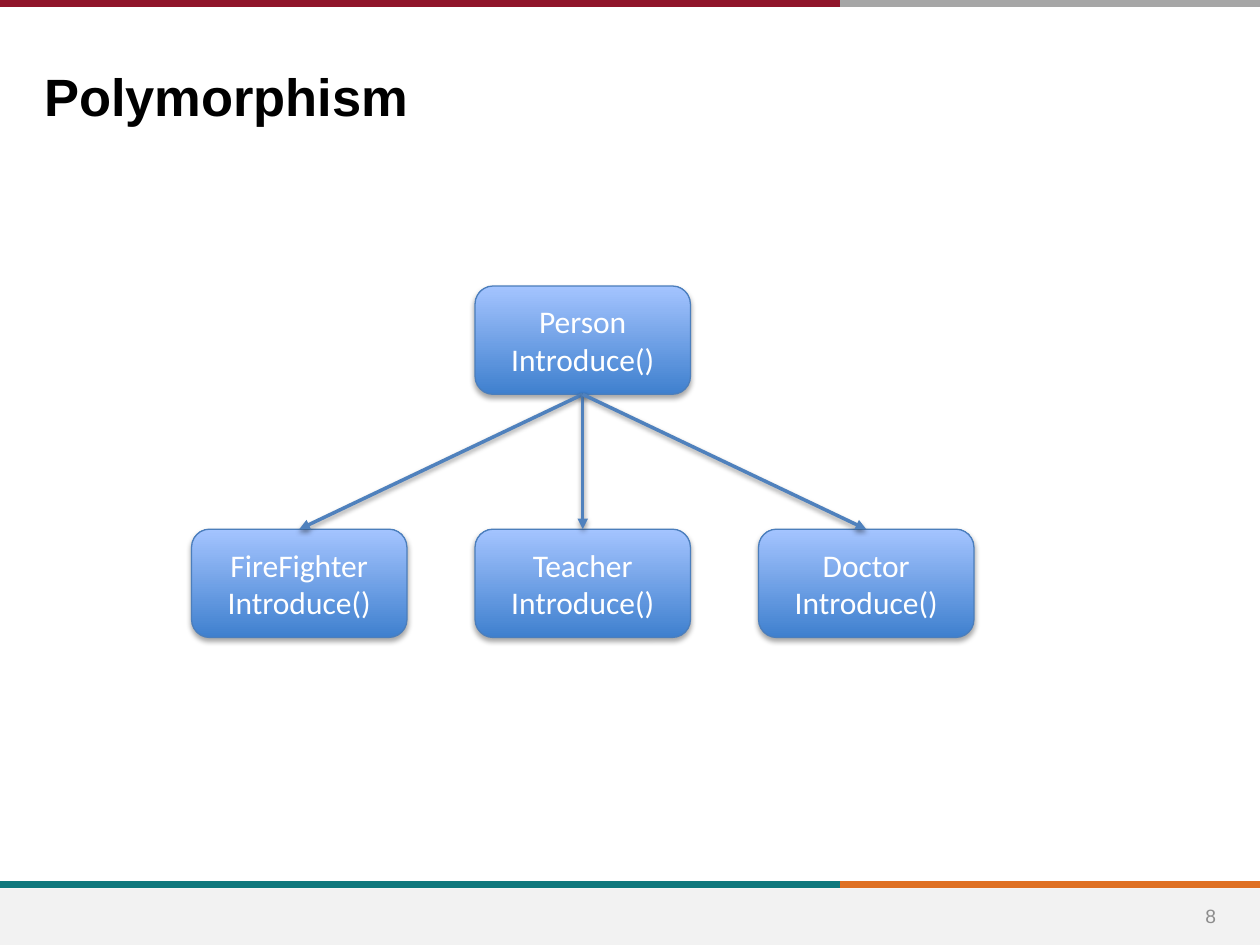
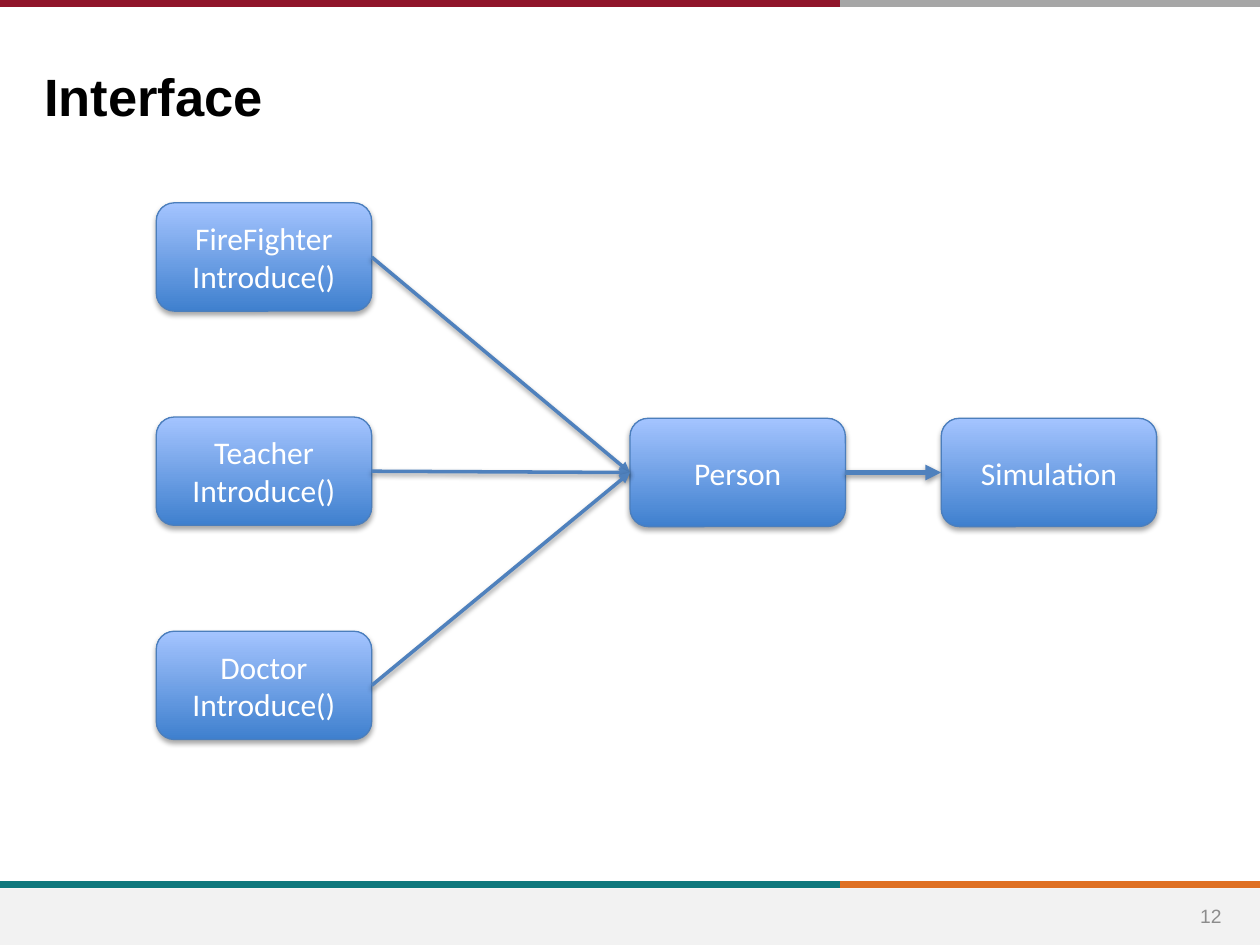
import pptx
import pptx.util
import pptx.dml.color
import pptx.enum.shapes
import pptx.enum.text
import pptx.oxml
import pptx.oxml.ns
import lxml.etree

COLORS = {
    "crimson": "90152A", "silver": "A6A6A6", "teal": "0F787D", "orange": "DF7023",
    "footer": "F2F2F2", "number": "8C8C8C", "title": "000000", "label": "FFFFFF",
    "box_bottom": "3F80CE", "box_top": "A4C4FF", "box_edge": "4B7EBC", "arrow": "4F81BD",
}
RGB = {name: pptx.dml.color.RGBColor.from_string(code) for name, code in COLORS.items()}
Inches, Pt = pptx.util.Inches, pptx.util.Pt
SHAPES = pptx.enum.shapes.MSO_SHAPE
STRAIGHT = pptx.enum.shapes.MSO_CONNECTOR.STRAIGHT
ALIGN = pptx.enum.text.PP_ALIGN
ANCHOR = pptx.enum.text.MSO_ANCHOR
qn = pptx.oxml.ns.qn
TOP, LEFT, BOTTOM, RIGHT = range(4)

WIDTH, HEIGHT = 10, 7.5
SPLIT = WIDTH * 2 / 3
BOX_WIDTH, BOX_HEIGHT = 1.71, 0.86


def write(shape, text, font="Calibri", size=18, color="label", bold=False,
          align=ALIGN.CENTER, anchor=ANCHOR.MIDDLE):
    """Fill a shape with text, one paragraph per line."""
    frame = shape.text_frame
    frame.text = text
    frame.word_wrap = True
    frame.vertical_anchor = anchor
    for para in frame.paragraphs:
        para.alignment = align
        for span in para.runs:
            span.font.name = font
            span.font.size = Pt(size)
            span.font.bold = bold
            span.font.color.rgb = RGB[color]


def set_shadow(shape, opacity=0, distance=1.8):
    """Give a shape a soft shadow below it, or none at zero opacity."""
    effects = lxml.etree.SubElement(shape.element.spPr, qn("a:effectLst"))
    if opacity:
        shadow = lxml.etree.SubElement(
            effects, qn("a:outerShdw"), blurRad=str(Pt(3.1)), dist=str(Pt(distance)),
            dir="5400000", rotWithShape="0")
        black = lxml.etree.SubElement(shadow, qn("a:srgbClr"), val="000000")
        lxml.etree.SubElement(black, qn("a:alpha"), val=str(opacity * 1000))


# Grids: professions side by side on the first slide, stacked on the second
columns = [1.52 + 2.25 * index for index in range(3)]
rows = [1.61 + 1.7 * index for index in range(3)]
professions = ["FireFighter", "Teacher", "Doctor"]

# Boxes: name -> (left, top, text); arrows: start, side, end, side, width
diagrams = [
    {
        "title": "Polymorphism", "number": "8",
        "boxes": {"Person": (columns[1], 2.27, "Person\nIntroduce()")}
        | {name: (left, 4.2, name + "\nIntroduce()")
           for name, left in zip(professions, columns)},
        "arrows": [("Person", BOTTOM, name, TOP, 2) for name in professions],
    },
    {
        "title": "Interface", "number": "12",
        "boxes": {"Person": (5, 3.32, "Person"), "Simulation": (7.47, 3.32, "Simulation")}
        | {name: (1.24, top, name + "\nIntroduce()")
           for name, top in zip(professions, rows)},
        "arrows": [(name, RIGHT, "Person", LEFT, 2) for name in professions]
        + [("Person", RIGHT, "Simulation", LEFT, 3)],
    },
]

bands = [
    (SPLIT, WIDTH, 7.02, "orange"), (0, SPLIT, 7.02, "teal"),
    (SPLIT, WIDTH, 0.03, "silver"), (0, SPLIT, 0.03, "crimson"),
]

deck = pptx.Presentation()
deck.slide_width, deck.slide_height = Inches(WIDTH), Inches(HEIGHT)

for diagram in diagrams:
    page = deck.slides.add_slide(deck.slide_layouts[5])

    # Bands and footer
    for start, end, height, color in bands:
        band = page.shapes.add_connector(
            STRAIGHT, Inches(start), Inches(height), Inches(end), Inches(height))
        band.line.color.rgb = RGB[color]
        band.line.width = Pt(4)
        set_shadow(band)
    footer = page.shapes.add_shape(
        SHAPES.RECTANGLE, 0, Inches(HEIGHT * 0.94), Inches(WIDTH), Inches(HEIGHT * 0.06))
    footer.fill.solid()
    footer.fill.fore_color.rgb = RGB["footer"]
    footer.line.fill.background()
    footer.shadow.inherit = False
    number = page.shapes.add_textbox(Inches(9.35), Inches(7.07), Inches(0.52), Inches(0.4))
    write(number, diagram["number"], font="Arial", size=11, color="number")

    # Title
    title = page.shapes.title
    title.left, title.top = Inches(0.25), Inches(0.46)
    title.width, title.height = Inches(7.99), Inches(0.59)
    write(title, diagram["title"], font="Arial", size=30, color="title", bold=True,
          align=ALIGN.LEFT, anchor=ANCHOR.TOP)

    # Class boxes
    boxes = {}
    for name, (left, top, text) in diagram["boxes"].items():
        box = page.shapes.add_shape(
            SHAPES.ROUNDED_RECTANGLE, Inches(left), Inches(top),
            Inches(BOX_WIDTH), Inches(BOX_HEIGHT))
        box.fill.gradient()
        box.fill.gradient_angle = 90
        for stop, color in zip(box.fill.gradient_stops, ("box_bottom", "box_top")):
            stop.color.rgb = RGB[color]
        box.line.color.rgb = RGB["box_edge"]
        box.line.width = Pt(0.75)
        set_shadow(box, opacity=35)
        write(box, text)
        boxes[name] = box

    # Arrows between the boxes
    for start, start_side, end, end_side, width in diagram["arrows"]:
        arrow = page.shapes.add_connector(STRAIGHT, 0, 0, 0, 0)
        arrow.begin_connect(boxes[start], start_side)
        arrow.end_connect(boxes[end], end_side)
        arrow.line.color.rgb = RGB["arrow"]
        arrow.line.width = Pt(width)
        outline = arrow.element.spPr.find(qn("a:ln"))
        lxml.etree.SubElement(outline, qn("a:tailEnd"), type="triangle")
        set_shadow(arrow, opacity=38, distance=1.6)

deck.save("out.pptx")
